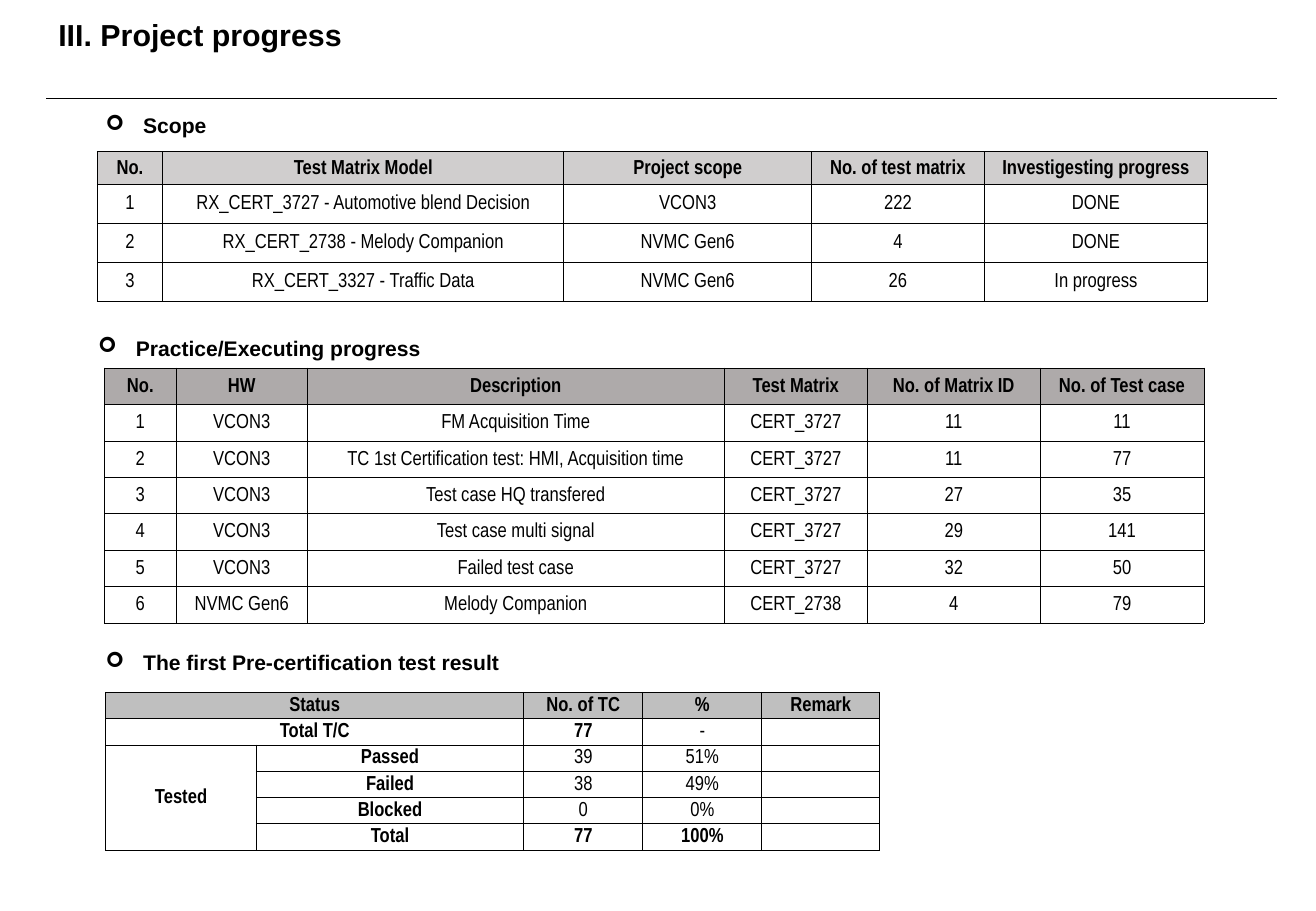
from dataclasses import dataclass

from lxml import etree
from pptx import Presentation, util as u
from pptx.dml import color
from pptx.enum import shapes, text
from pptx.oxml import ns


@dataclass(frozen=True)
class Theme:
    ink: str = "000000"
    scope_head: str = "D0CECE"
    practice_head: str = "AEAAAA"
    result_head: str = "BFBFBF"
    font: str = "Arial"
    table_font: str = "Arial Narrow"
    title_size: float = 18
    heading_size: float = 12.5
    table_size: float = 12
    rule_width: float = 1
    border_width: float = 0.5


THEME = Theme()

SCOPE = [
    ["No.", "Test Matrix Model", "Project scope", "No. of test matrix", "Investigesting progress"],
    ["1", "RX_CERT_3727 - Automotive blend Decision", "VCON3", "222", "DONE"],
    ["2", "RX_CERT_2738 - Melody Companion", "NVMC Gen6", "4", "DONE"],
    ["3", "RX_CERT_3327 - Traffic Data", "NVMC Gen6", "26", "In progress"],
]
PRACTICE = [
    ["No.", "HW", "Description", "Test Matrix", "No. of Matrix ID", "No. of Test case"],
    ["1", "VCON3", "FM Acquisition Time", "CERT_3727", "11", "11"],
    ["2", "VCON3", "TC 1st Certification test: HMI, Acquisition time", "CERT_3727", "11", "77"],
    ["3", "VCON3", "Test case HQ transfered", "CERT_3727", "27", "35"],
    ["4", "VCON3", "Test case multi signal", "CERT_3727", "29", "141"],
    ["5", "VCON3", "Failed test case", "CERT_3727", "32", "50"],
    ["6", "NVMC Gen6", "Melody Companion", "CERT_2738", "4", "79"],
]
RESULT = [
    ["Status", "", "No. of TC", "%", "Remark"],
    ["Total T/C", "", "77", "-", ""],
    ["Tested", "Passed", "39", "51%", ""],
    ["", "Failed", "38", "49%", ""],
    ["", "Blocked", "0", "0%", ""],
    ["", "Total", "77", "100%", ""],
]
# Bold body cells: both label columns and the totals
RESULT_BOLD = {(r, c) for r in range(1, 6) for c in (0, 1)} | {(1, 2), (5, 2), (5, 3)}


def set_attrs(obj, values):
    for name, value in values.items():
        setattr(obj, name, value)


def format_font(font, name, size, bold):
    set_attrs(font, {"name": name, "size": u.Pt(size), "bold": bold})
    font.color.rgb = color.RGBColor.from_string(THEME.ink)


def add_title(s, words):
    sp = s.shapes.title
    set_attrs(sp, {"left": u.Inches(0.38), "top": u.Inches(0.08),
                   "width": u.Inches(10.13), "height": u.Inches(0.73)})
    tf = sp.text_frame
    set_attrs(tf, {"vertical_anchor": text.MSO_ANCHOR.TOP, "auto_size": text.MSO_AUTO_SIZE.NONE})
    p = tf.paragraphs[0]
    p.alignment = text.PP_ALIGN.LEFT
    r = p.add_run()
    r.text = words
    format_font(r.font, THEME.font, THEME.title_size, True)


def add_rule(s, left, right, y):
    line = s.shapes.add_connector(shapes.MSO_CONNECTOR.STRAIGHT, u.Inches(left), u.Inches(y),
                                  u.Inches(right), u.Inches(y))
    line.line.width = u.Pt(THEME.rule_width)
    line.line.color.rgb = color.RGBColor.from_string(THEME.ink)
    etree.SubElement(line._element.spPr, ns.qn("a:effectLst"))


def add_heading(s, words, left, top, width):
    sp = s.shapes.add_textbox(u.Inches(left), u.Inches(top), u.Inches(width), u.Inches(0.31))
    tf = sp.text_frame
    set_attrs(tf, {"word_wrap": False, "auto_size": text.MSO_AUTO_SIZE.SHAPE_TO_FIT_TEXT})
    p = tf.paragraphs[0]
    r = p.add_run()
    r.text = words
    format_font(r.font, THEME.font, THEME.heading_size, True)
    # Arrow bullet with a hanging indent
    pPr = p._p.get_or_add_pPr()
    pPr.set("marL", str(u.Inches(0.31)))
    pPr.set("indent", str(-u.Inches(0.31)))
    etree.SubElement(pPr, ns.qn("a:buFont"), typeface="Wingdings")
    etree.SubElement(pPr, ns.qn("a:buChar"), char="➢")


def add_borders(cell):
    tcPr = cell._tc.get_or_add_tcPr()
    for i, side in enumerate(("lnL", "lnR", "lnT", "lnB")):
        ln = etree.Element(ns.qn(f"a:{side}"), w=str(u.Pt(THEME.border_width)))
        fill = etree.SubElement(ln, ns.qn("a:solidFill"))
        etree.SubElement(fill, ns.qn("a:srgbClr"), val=THEME.ink)
        tcPr.insert(i, ln)


def format_cell(cell, words, bold, fill):
    inset = u.Inches(0.01)
    set_attrs(cell, {"margin_left": inset, "margin_right": inset, "margin_top": inset,
                     "margin_bottom": 0, "vertical_anchor": text.MSO_ANCHOR.MIDDLE})
    if fill:
        cell.fill.solid()
        cell.fill.fore_color.rgb = color.RGBColor.from_string(fill)
    else:
        cell.fill.background()
    add_borders(cell)
    p = cell.text_frame.paragraphs[0]
    p.alignment = text.PP_ALIGN.CENTER
    if words:
        r = p.add_run()
        r.text = words
        format_font(r.font, THEME.table_font, THEME.table_size, bold)
    else:
        # Keeps an empty cell from stretching its row
        etree.SubElement(p._p, ns.qn("a:endParaRPr"), sz=str(THEME.table_size * 100))


def add_grid(s, rows, left, top, widths, heights, head_fill, bold=(), merges=()):
    frame = s.shapes.add_table(len(rows), len(widths), u.Inches(left), u.Inches(top),
                               u.Inches(sum(widths)), u.Inches(sum(heights)))
    table = frame.table
    set_attrs(table, {"first_row": False, "horz_banding": False})
    for column, width in zip(table.columns, widths):
        column.width = u.Inches(width)
    for row, height in zip(table.rows, heights):
        row.height = u.Inches(height)
    for i, row in enumerate(rows):
        for j, words in enumerate(row):
            is_head = i == 0
            format_cell(table.cell(i, j), words, is_head or (i, j) in bold,
                        head_fill if is_head else None)
    for first, last in merges:
        table.cell(*first).merge(table.cell(*last))


def main():
    prs = Presentation()
    set_attrs(prs, {"slide_width": u.Inches(10.83), "slide_height": u.Inches(7.5)})
    s = prs.slides.add_slide(prs.slide_layouts.get_by_name("Title Only"))

    # Title band
    add_title(s, "III. Project progress")
    add_rule(s, 0.38, 10.51, 0.81)

    # Scope
    add_heading(s, "Scope", 0.77, 0.88, 1.05)
    add_grid(s, SCOPE, 0.8, 1.25, [0.54, 3.3, 2.04, 1.42, 1.84],
             [0.27] + [0.32] * 3, THEME.scope_head)

    # Practice and execution
    add_heading(s, "Practice/Executing progress", 0.71, 2.71, 2.89)
    add_grid(s, PRACTICE, 0.86, 3.03, [0.59, 1.08, 3.43, 1.18, 1.42, 1.35],
             [0.3] * 7, THEME.practice_head)

    # Pre-certification result
    add_heading(s, "The first Pre-certification test result", 0.77, 5.3, 3.49)
    add_grid(s, RESULT, 0.87, 5.7, [1.24, 2.2, 0.98, 0.98, 0.97], [1.3 / 6] * 6,
             THEME.result_head, RESULT_BOLD,
             [((0, 0), (0, 1)), ((1, 0), (1, 1)), ((2, 0), (5, 0))])

    prs.save("out.pptx")


if __name__ == "__main__":
    main()
